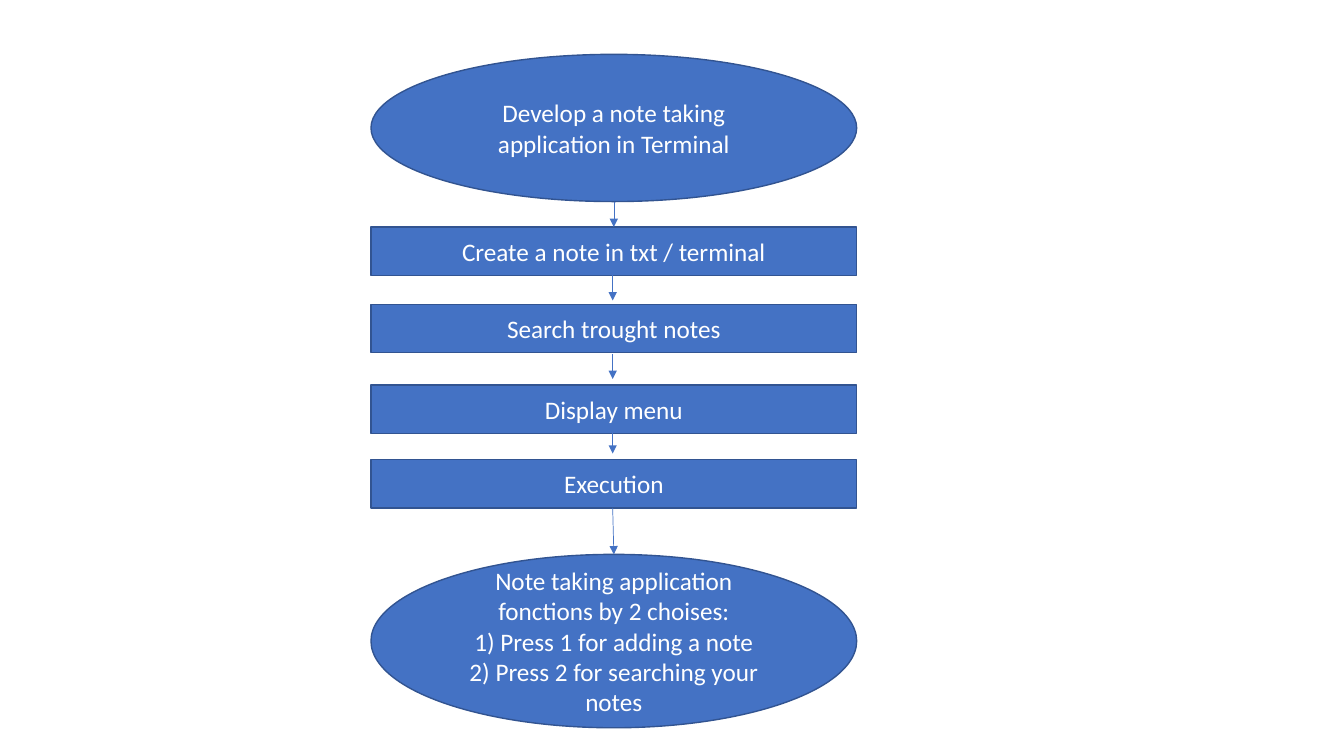
"""Build a one-slide flowchart of a note taking application."""
from dataclasses import dataclass

import lxml.etree
import pptx
import pptx.dml.color
import pptx.enum.shapes
import pptx.enum.text
import pptx.oxml.ns
import pptx.slide
import pptx.util

Cm = pptx.util.Cm
Pt = pptx.util.Pt
RGBColor = pptx.dml.color.RGBColor
ShapeType = pptx.enum.shapes.MSO_SHAPE


@dataclass(frozen=True)
class Theme:
    fill: RGBColor = RGBColor(0x44, 0x72, 0xC4)
    outline: RGBColor = RGBColor(0x32, 0x54, 0x91)
    text: RGBColor = RGBColor(0xFF, 0xFF, 0xFF)
    font: str = "Calibri"
    text_size: float = 18
    outline_width: float = 1
    arrow_width: float = 0.5


@dataclass(frozen=True)
class Step:
    text: str
    top: float
    height: float = 1.22
    kind: ShapeType = ShapeType.RECTANGLE


@dataclass(frozen=True)
class Arrow:
    start_y: float
    end_y: float
    start_x: float = 15.44
    end_x: float = 15.44


THEME = Theme()
STEP_LEFT = 9.35
STEP_WIDTH = 12.24
CENTER_X = STEP_LEFT + STEP_WIDTH / 2

STEPS = (
    Step("Develop a note taking application in Terminal", 1.37, 3.71, ShapeType.OVAL),
    Step("Create a note in txt / terminal", 5.72),
    Step("Search trought notes", 7.67),
    Step("Display menu", 9.7),
    Step("Execution", 11.58),
    Step(
        "Note taking application fonctions by 2 choises:\n"
        "1) Press 1 for adding a note\n"
        "2) Press 2 for searching your notes",
        13.97,
        4.37,
        ShapeType.OVAL,
    ),
)

ARROWS = (
    Arrow(5.08, 5.72, CENTER_X, CENTER_X),
    Arrow(6.93, 7.57),
    Arrow(8.92, 9.55),
    Arrow(10.8, 11.43),
    Arrow(12.8, 13.97, end_x=CENTER_X),
)


def draw_step(slide: pptx.slide.Slide, step: Step) -> None:
    shape = slide.shapes.add_shape(
        step.kind, Cm(STEP_LEFT), Cm(step.top), Cm(STEP_WIDTH), Cm(step.height)
    )
    shape.shadow.inherit = False
    shape.fill.solid()
    shape.fill.fore_color.rgb = THEME.fill
    shape.line.color.rgb = THEME.outline
    shape.line.width = Pt(THEME.outline_width)
    text_frame = shape.text_frame
    text_frame.word_wrap = True
    text_frame.vertical_anchor = pptx.enum.text.MSO_ANCHOR.MIDDLE
    text_frame.text = step.text
    for paragraph in text_frame.paragraphs:
        paragraph.alignment = pptx.enum.text.PP_ALIGN.CENTER
        for run in paragraph.runs:
            run.font.name = THEME.font
            run.font.size = Pt(THEME.text_size)
            run.font.color.rgb = THEME.text


def draw_arrow(slide: pptx.slide.Slide, arrow: Arrow) -> None:
    connector = slide.shapes.add_connector(
        pptx.enum.shapes.MSO_CONNECTOR.STRAIGHT,
        Cm(arrow.start_x), Cm(arrow.start_y), Cm(arrow.end_x), Cm(arrow.end_y),
    )
    connector.line.color.rgb = THEME.fill
    connector.line.width = Pt(THEME.arrow_width)
    properties = connector.element.spPr
    line = properties.find(pptx.oxml.ns.qn("a:ln"))
    lxml.etree.SubElement(line, pptx.oxml.ns.qn("a:tailEnd"), type="triangle")
    lxml.etree.SubElement(properties, pptx.oxml.ns.qn("a:effectLst"))


def main() -> None:
    presentation = pptx.Presentation()
    presentation.slide_width = Cm(33.87)
    presentation.slide_height = Cm(19.05)
    slide = presentation.slides.add_slide(presentation.slide_layouts[6])
    for step in STEPS:
        draw_step(slide, step)
    for arrow in ARROWS:
        draw_arrow(slide, arrow)
    presentation.save("out.pptx")


if __name__ == "__main__":
    main()
